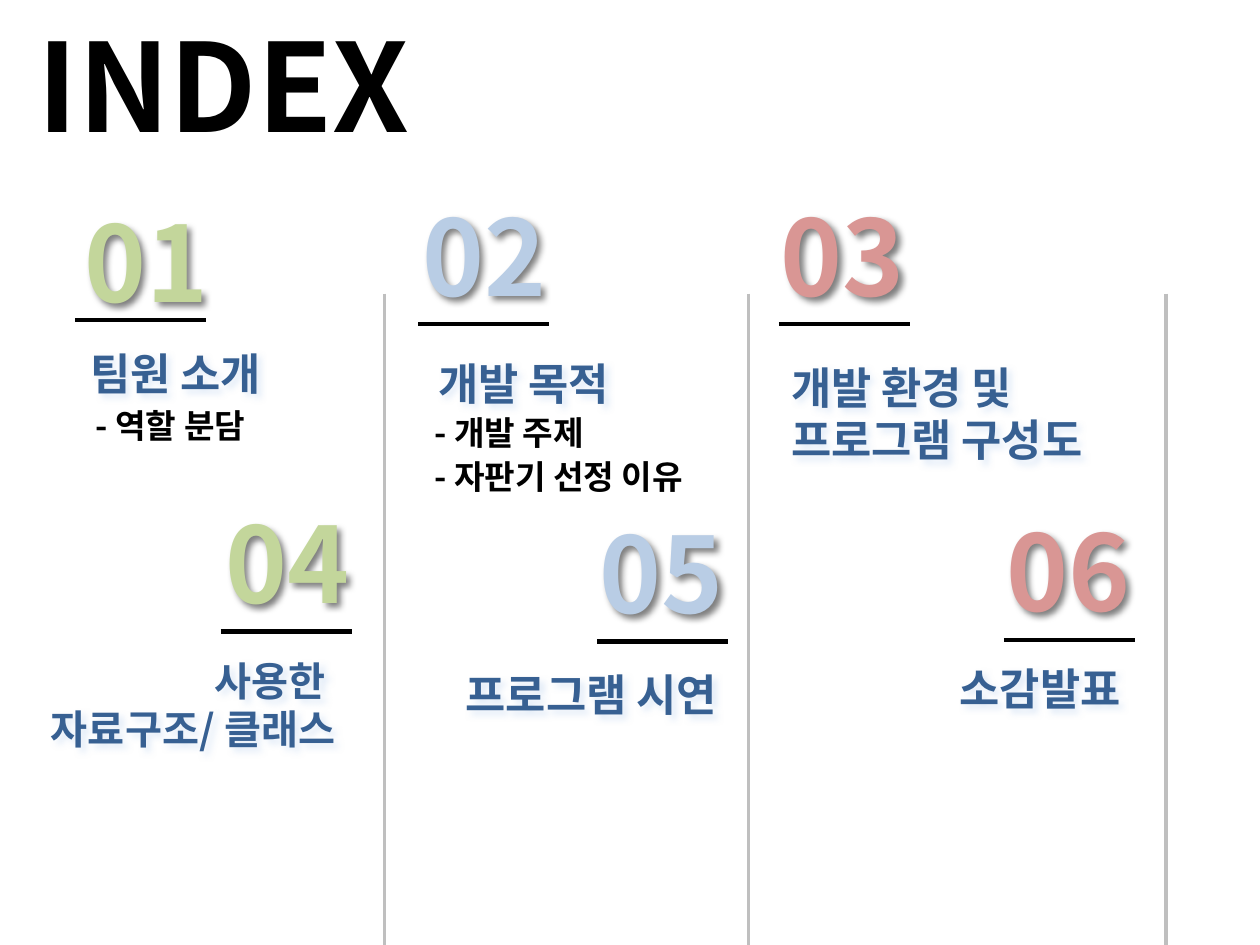
from dataclasses import dataclass
from typing import Any

from lxml.etree import SubElement
from pptx import Presentation
from pptx.dml.color import RGBColor
from pptx.enum.shapes import MSO_CONNECTOR
from pptx.enum.text import PP_ALIGN
from pptx.oxml.ns import qn
from pptx.util import Cm, Pt

BLACK = RGBColor(0x00, 0x00, 0x00)
GRAY = RGBColor(0xBF, 0xBF, 0xBF)
NAVY = RGBColor(0x37, 0x60, 0x92)
PALE_BLUE = RGBColor(0xC6, 0xD9, 0xF1)
GREEN = RGBColor(0xC3, 0xD6, 0x9B)
BLUE = RGBColor(0xB9, 0xCD, 0xE5)
RED = RGBColor(0xD9, 0x96, 0x94)

LEFT, RIGHT, JUSTIFY = PP_ALIGN.LEFT, PP_ALIGN.RIGHT, PP_ALIGN.JUSTIFY

SECTIONS = [
    ("01", GREEN, (1.45, 3.86), (1.52, 6.45),
     ["팀원 소개"], (1.57, 6.86, 5.31, 1.32), 25, LEFT),
    ("02", BLUE, (8.26, 3.73), (8.43, 6.53),
     ["개발 목적"], (8.59, 7.06, 5.31, 1.32), 25, LEFT),
    ("03", RED, (15.49, 3.73), (15.7, 6.53),
     ["개발 환경 및", "프로그램 구성도"], (15.7, 7.14, 8.79, 2.39), 25, LEFT),
    ("04", GREEN, (4.29, 9.93), (4.45, 12.73),
     ["사용한 ", "자료구조/ 클래스"], (-0.51, 13.11, 7.52, 2.24), 23, RIGHT),
    ("05", BLUE, (11.84, 10.13), (12.04, 12.93),
     ["프로그램 시연"], (8.38, 13.34, 6.32, 1.32), 25, RIGHT),
    ("06", RED, (20.04, 10.08), (20.24, 12.9),
     ["소감발표"], (19.1, 13.21, 8.79, 1.32), 25, JUSTIFY),
]
DETAILS = [
    ("- 역할 분담", (1.68, 8.05, 4.52, 1.07)),
    ("- 개발 주제", (8.51, 8.18, 4.52, 1.07)),
    ("- 자판기 선정 이유", (8.51, 9.07, 6.4, 1.07)),
]
DIVIDERS = [7.75, 15.09, 23.5]


@dataclass
class IndexSlide:
    slide: Any
    font_name: str = "Noto Sans CJK KR"

    def text(self, lines, box, size, color, align=LEFT, shadow=None):
        shape = self.slide.shapes.add_textbox(*map(Cm, box))
        frame = shape.text_frame
        frame.word_wrap = True
        frame.text = "\n".join(lines)
        for paragraph in frame.paragraphs:
            paragraph.alignment = align
            font = paragraph.font
            font.size, font.bold, font.name = Pt(size), True, self.font_name
            font.color.rgb = color
            properties = paragraph._p.pPr.find(qn("a:defRPr"))
            SubElement(properties, qn("a:ea"), typeface=self.font_name)
        if shadow is not None:
            self.shadow(shape, shadow)

    def shadow(self, shape, color):
        effects = SubElement(shape._element.spPr, qn("a:effectLst"))
        outer = SubElement(effects, qn("a:outerShdw"), blurRad=str(Pt(4)),
                           dist=str(Pt(3)), dir="2700000", algn="tl")
        tint = SubElement(outer, qn("a:srgbClr"), val=str(color))
        SubElement(tint, qn("a:alpha"), val="50000")

    def line(self, start, end, color, width):
        connector = self.slide.shapes.add_connector(
            MSO_CONNECTOR.STRAIGHT, *map(Cm, start + end))
        connector.line.color.rgb = color
        connector.line.width = Pt(width)
        SubElement(connector._element.spPr, qn("a:effectLst"))

    def section(self, number, color, corner, rule, title, box, size, align):
        self.text([number], corner + (3.05, 2.82), 60, color, shadow=BLACK)
        x, y = rule
        self.line(rule, (x + 2.64, y), BLACK, 2.75)
        self.text(title, box, size, NAVY, align, PALE_BLUE)


def main():
    presentation = Presentation()
    presentation.slide_width, presentation.slide_height = Cm(25.4), Cm(19.05)
    index = IndexSlide(presentation.slides.add_slide(presentation.slide_layouts[6]))
    index.text(["INDEX"], (0.51, 0.08, 13.59, 3.25), 70, BLACK)
    for x in DIVIDERS:
        index.line((x, 5.92), (x, 19.15), GRAY, 2)
    for section in SECTIONS:
        index.section(*section)
    for detail, box in DETAILS:
        index.text([detail], box, 19, BLACK)
    presentation.save("out.pptx")


if __name__ == "__main__":
    main()
